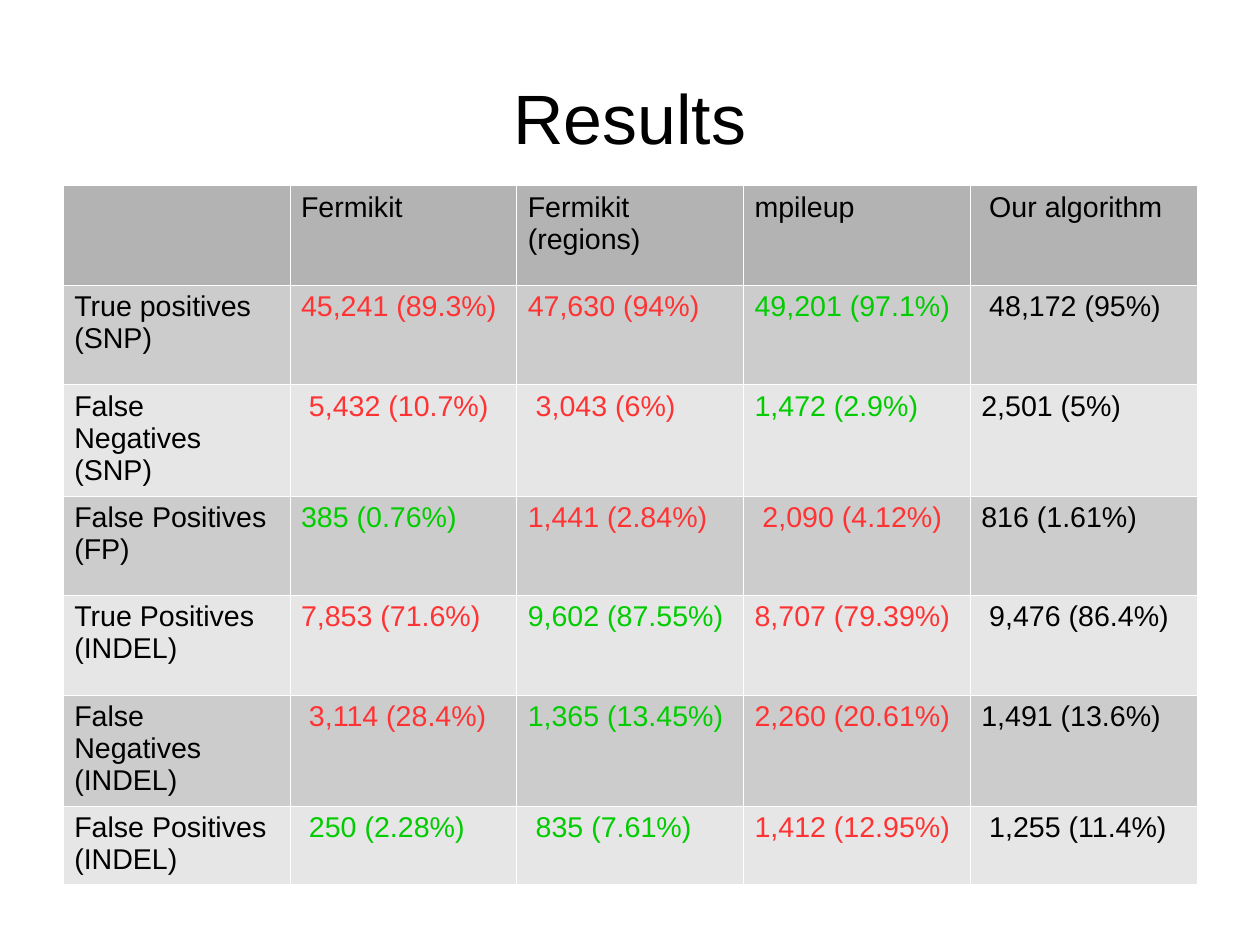
from lxml import etree
from pptx import Presentation
from pptx.dml.color import RGBColor
from pptx.enum.text import MSO_ANCHOR, PP_ALIGN
from pptx.oxml.ns import qn
from pptx.util import Pt

MIDDLE = MSO_ANCHOR.MIDDLE
CENTER = PP_ALIGN.CENTER

BLACK, WHITE = "000000", "FFFFFF"
INK = {"K": BLACK, "R": "FF3333", "G": "00CC00"}
HEAD, DARK, LIGHT = "B3B3B3", "CCCCCC", "E6E6E6"
LEFT, WIDTH = Pt(39.6), Pt(714.25)

# Each row: height, ink of each cell, texts
ROWS = [
    (62.7, "KKKKK", ["", "Fermikit", "Fermikit (regions)", "mpileup",
                     " Our algorithm"]),
    (62.7, "KRRGK", ["True positives (SNP)", "45,241 (89.3%)", "47,630 (94%)",
                     "49,201 (97.1%)", " 48,172 (95%)"]),
    (70, "KRRGK", ["False Negatives (SNP)", " 5,432 (10.7%)", " 3,043 (6%)",
                   "1,472 (2.9%)", "2,501 (5%)"]),
    (62.7, "KGRRK", ["False Positives (FP)", "385 (0.76%)", "1,441 (2.84%)",
                     " 2,090 (4.12%)", "816 (1.61%)"]),
    (62.7, "KRGRK", ["True Positives (INDEL)", "7,853 (71.6%)", "9,602 (87.55%)",
                     "8,707 (79.39%)", " 9,476 (86.4%)"]),
    (70, "KRGRK", ["False Negatives (INDEL)", " 3,114 (28.4%)", "1,365 (13.45%)",
                   "2,260 (20.61%)", "1,491 (13.6%)"]),
    (49.2, "KGGRK", ["False Positives (INDEL)", " 250 (2.28%)", " 835 (7.61%)",
                     "1,412 (12.95%)", " 1,255 (11.4%)"]),
]


def style(font, size, ink):
    for name, value in {"name": "Arial", "size": Pt(size), "bold": False}.items():
        setattr(font, name, value)
    font.color.rgb = RGBColor.from_string(ink)


def edge(cell):
    """Draw a hairline in white on all four sides of the cell."""
    props = cell._tc.get_or_add_tcPr()
    for side in ("a:lnL", "a:lnR", "a:lnT", "a:lnB"):
        line = etree.SubElement(props, qn(side), w=str(Pt(0.06)))
        fill = etree.SubElement(line, qn("a:solidFill"))
        etree.SubElement(fill, qn("a:srgbClr"), val=WHITE)


deck = Presentation()
deck.slide_width, deck.slide_height = Pt(793.7), Pt(595.3)
slide = deck.slides.add_slide(deck.slide_layouts[5])

title = slide.shapes.title
place = {"left": LEFT, "top": Pt(23.75), "width": WIDTH, "height": Pt(99.35)}
for name, value in place.items():
    setattr(title, name, value)
frame = title.text_frame
frame.text = "Results"
frame.vertical_anchor = MIDDLE
for side in ("left", "top", "right", "bottom"):
    setattr(frame, f"margin_{side}", 0)
frame.paragraphs[0].alignment = CENTER
style(frame.paragraphs[0].font, 44, BLACK)

total = sum(row[0] for row in ROWS)
table = slide.shapes.add_table(len(ROWS), 5, LEFT, Pt(116.9), WIDTH, Pt(total)).table
table.first_row = table.horz_banding = False
for r, (height, inks, texts) in enumerate(ROWS):
    table.rows[r].height = Pt(height)
    shade = HEAD if r == 0 else DARK if r % 2 else LIGHT
    for c, (ink, text) in enumerate(zip(inks, texts)):
        cell = table.cell(r, c)
        cell.text = text
        style(cell.text_frame.paragraphs[0].font, 18, INK[ink])
        edge(cell)
        cell.fill.solid()
        cell.fill.fore_color.rgb = RGBColor.from_string(shade)

deck.save("out.pptx")
